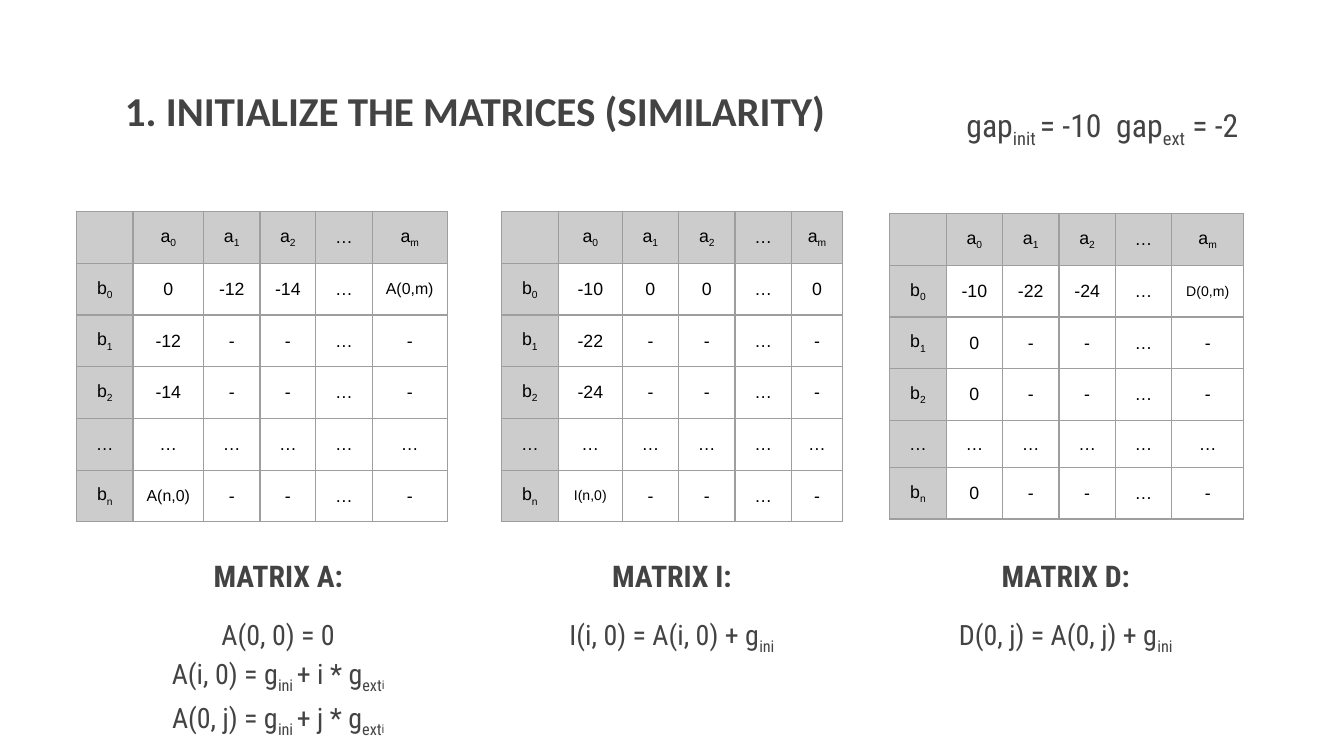
from copy import deepcopy
from dataclasses import dataclass, field
from typing import Optional

from lxml.etree import SubElement
from pptx import Presentation
from pptx.dml.color import RGBColor
from pptx.enum.text import MSO_ANCHOR, MSO_AUTO_SIZE, PP_ALIGN
from pptx.oxml.ns import qn
from pptx.util import Emu, Pt

EMU_PER_PX = 4572
INSET = 20
COLORS = {"text": "434343", "cell": "000000", "header": "CCCCCC", "border": "9E9E9E"}
DISPLAY_FONT = "Roboto Condensed"
CELL_SIZE = 9.5
SMALL_CELLS = {"A(0,m)": 8.5, "A(n,0)": 8.5, "I(n,0)": 7.5, "D(0,m)": 7.5}
COLUMN_HEADS = ["", "a_0", "a_1", "a_2", "…", "a_m"]
ROW_HEADS = ["b_0", "b_1", "b_2", "…", "b_n"]


@dataclass
class Box:
    left: int
    top: int
    width: int
    height: int


@dataclass
class Piece:
    text: str
    size: float
    subscript: bool = False
    bold: bool = False
    font: str = DISPLAY_FONT
    color: str = "text"


@dataclass
class Line:
    pieces: list[Piece]
    alignment: PP_ALIGN = PP_ALIGN.CENTER
    spacing: float = 1.15
    before: float = 0
    after: float = 0


@dataclass
class Matrix:
    box: Box
    columns: list[int]
    first_row: list[str]
    first_column: list[str]
    rows: list[int] = field(default_factory=lambda: [77] * 6)


def px(value: int) -> Emu:
    return Emu(value * EMU_PER_PX)


def rgb(name: str) -> RGBColor:
    return RGBColor.from_string(COLORS[name])


def pieces_of(markup: str, size: float, **style) -> list[Piece]:
    return [
        Piece(text, size, index % 2 == 1, **style)
        for index, text in enumerate(markup.split("_"))
        if text
    ]


def add_piece(paragraph, piece: Piece) -> None:
    properties: Optional[object] = None
    for index, text in enumerate(piece.text.split("\n")):
        if index:
            paragraph.add_line_break()
            paragraph._p.findall(qn("a:br"))[-1].append(deepcopy(properties))
        if not text:
            continue
        run = paragraph.add_run()
        run.text = text
        run.font.size = Pt(piece.size)
        run.font.bold = piece.bold
        run.font.name = piece.font
        run.font.color.rgb = rgb(piece.color)
        properties = run._r.get_or_add_rPr()
        if piece.subscript:
            properties.set("baseline", "-25000")


def fill_placeholder(shape, box: Box, lines: list[Line]) -> None:
    shape.left, shape.top = px(box.left), px(box.top)
    shape.width, shape.height = px(box.width), px(box.height)
    frame = shape.text_frame
    frame.word_wrap = True
    frame.auto_size = MSO_AUTO_SIZE.NONE
    frame.vertical_anchor = MSO_ANCHOR.TOP
    frame.margin_left = frame.margin_right = px(INSET)
    frame.margin_top = frame.margin_bottom = px(INSET)
    for index, line in enumerate(lines):
        paragraph = frame.add_paragraph() if index else frame.paragraphs[0]
        paragraph.alignment = line.alignment
        paragraph.line_spacing = line.spacing
        paragraph.space_before = Pt(line.before)
        paragraph.space_after = Pt(line.after)
        properties = paragraph._p.get_or_add_pPr()
        properties.set("marL", "0")
        properties.set("indent", "0")
        SubElement(properties, qn("a:buNone"))
        for piece in line.pieces:
            add_piece(paragraph, piece)


def fill_cell(cell, markup: str, is_header: bool) -> None:
    cell.vertical_anchor = MSO_ANCHOR.MIDDLE
    cell.margin_left = cell.margin_right = px(INSET)
    cell.margin_top = cell.margin_bottom = px(INSET)
    properties = cell._tc.get_or_add_tcPr()
    for side in ("lnL", "lnR", "lnT", "lnB"):
        border = SubElement(properties, qn(f"a:{side}"), w=str(Pt(0.75)))
        fill = SubElement(border, qn("a:solidFill"))
        SubElement(fill, qn("a:srgbClr"), val=COLORS["border"])
    if is_header:
        cell.fill.solid()
        cell.fill.fore_color.rgb = rgb("header")
    else:
        cell.fill.background()
    paragraph = cell.text_frame.paragraphs[0]
    paragraph.alignment = PP_ALIGN.CENTER
    size = SMALL_CELLS.get(markup, CELL_SIZE)
    for piece in pieces_of(markup, size, font="Arial", color="cell"):
        add_piece(paragraph, piece)
    if not markup:
        SubElement(paragraph._p, qn("a:endParaRPr"), sz=str(int(size * 100)))


def matrix_rows(matrix: Matrix) -> list[list[str]]:
    rows = [COLUMN_HEADS, [ROW_HEADS[0], *matrix.first_row]]
    for head, value in zip(ROW_HEADS[1:], matrix.first_column):
        rest = ["…"] * 4 if head == "…" else ["-", "-", "…", "-"]
        rows.append([head, value, *rest])
    return rows


def draw_matrix(slide, matrix: Matrix) -> None:
    box = matrix.box
    shape = slide.shapes.add_table(
        len(matrix.rows), len(matrix.columns),
        px(box.left), px(box.top), px(box.width), px(box.height),
    )
    table = shape.table
    table.first_row = table.horz_banding = False
    for column, width in zip(table.columns, matrix.columns):
        column.width = px(width)
    for row, height in zip(table.rows, matrix.rows):
        row.height = px(height)
    shape.width, shape.height = px(box.width), px(box.height)
    for row_index, values in enumerate(matrix_rows(matrix)):
        for column_index, markup in enumerate(values):
            is_header = row_index == 0 or column_index == 0
            fill_cell(table.cell(row_index, column_index), markup, is_header)


def caption(name: str, formula: list[Piece]) -> list[Line]:
    return [Line([Piece(f"MATRIX {name}:", 16, bold=True)]), Line(formula, before=10)]


MATRICES = [
    Matrix(Box(114, 315, 552, 460), [84, 105, 84, 83, 84, 112],
           ["0", "-12", "-14", "…", "A(0,m)"], ["-12", "-14", "…", "A(n,0)"]),
    Matrix(Box(746, 315, 508, 460), [85, 95, 84, 84, 84, 76],
           ["-10", "0", "0", "…", "0"], ["-22", "-24", "…", "I(n,0)"]),
    Matrix(Box(1324, 318, 527, 456), [84, 84, 84, 84, 84, 107],
           ["-10", "-22", "-24", "…", "D(0,m)"], ["0", "0", "…", "0"],
           [77, 77, 77, 77, 48, 77]),
]

FORMULA_A = [
    *pieces_of("A(0, 0) = 0\nA(i, 0) = g_ini _+ i * g_ext", 15),
    Piece("i\n", 11, subscript=True),
    *pieces_of("A(0, j) = g_ini _+ j * g_ext", 15),
    Piece("i", 11, subscript=True),
]

BODIES = [
    (Box(200, 802, 428, 308), caption("A", FORMULA_A)),
    (Box(786, 802, 428, 184), caption("I", pieces_of("I(i, 0) = A(i, 0) + g_ini", 15))),
    (Box(1418, 128, 582, 126),
     [Line(pieces_of("gap_init _= -10  gap_ext_ = -2", 17), PP_ALIGN.LEFT, after=4)]),
    (Box(1372, 802, 428, 184), caption("D", pieces_of("D(0, j) = A(0, j) + g_ini", 15))),
]


def main() -> None:
    presentation = Presentation()
    presentation.slide_width, presentation.slide_height = px(2000), px(1125)
    slide = presentation.slides.add_slide(presentation.slide_layouts[4])
    title, *bodies = slide.placeholders
    heading = Piece("1. INITIALIZE THE MATRICES (SIMILARITY)", 22, bold=True, font="Calibri")
    fill_placeholder(title, Box(166, 107, 1338, 126), [Line([heading], PP_ALIGN.LEFT, 1.0)])
    for shape, (box, lines) in zip(bodies, BODIES):
        fill_placeholder(shape, box, lines)
    for matrix in MATRICES:
        draw_matrix(slide, matrix)
    presentation.save("out.pptx")


if __name__ == "__main__":
    main()
